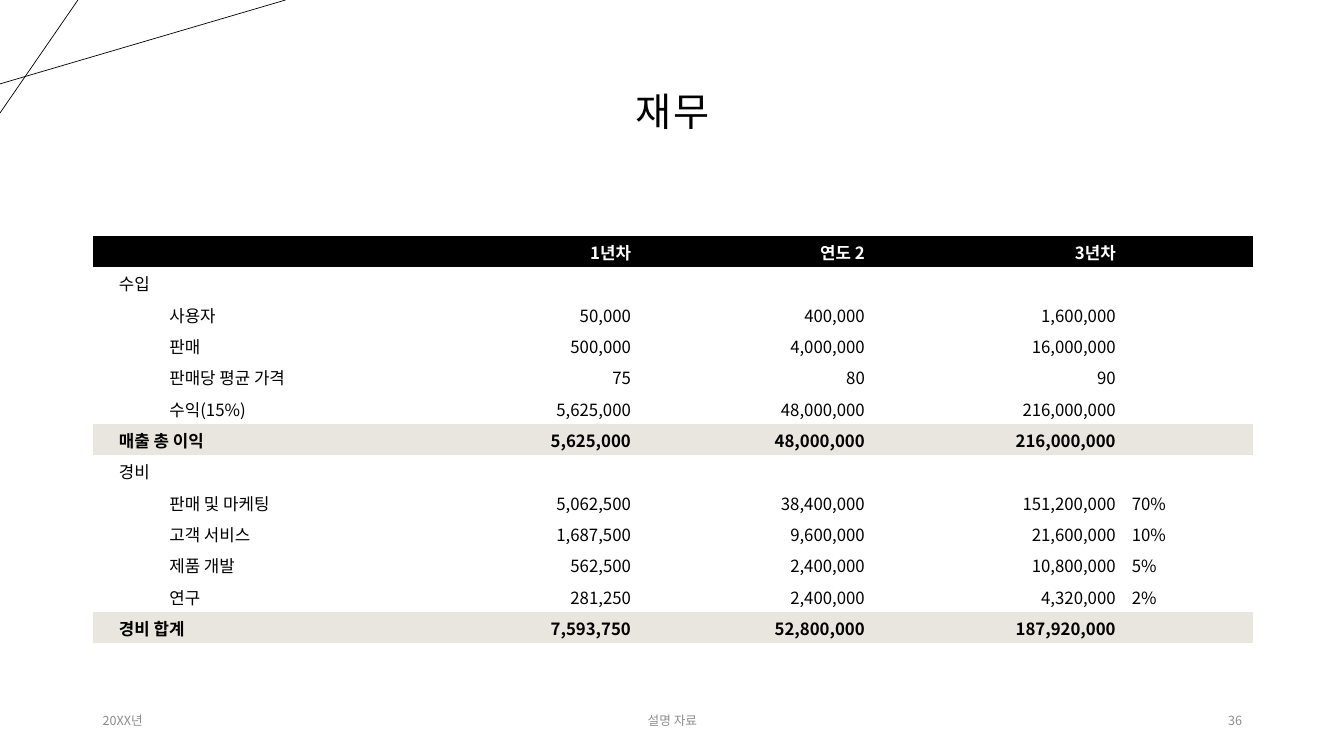
from lxml.etree import SubElement
from pptx import Presentation
from pptx.dml.color import RGBColor
from pptx.enum.shapes import MSO_CONNECTOR
from pptx.enum.text import MSO_ANCHOR, PP_ALIGN
from pptx.oxml.ns import qn
from pptx.util import Inches, Pt

BLACK, WHITE, SAND, GRAY = "000000", "FFFFFF", "E9E6DF", "8C8C8C"
LEFT, CENTER, RIGHT = PP_ALIGN.LEFT, PP_ALIGN.CENTER, PP_ALIGN.RIGHT
PLAIN_TABLE = "{2D5ABB26-0587-4C30-8999-92F81FD0307C}"
COLUMN_SHARES = (26.55, 14.1, 17.4, 18.67, 9.6)
ROW_SHARE = 4.15
FINANCES = [
    ("header", "", "1년차", "연도 2", "3년차", ""),
    ("group", "수입", "", "", "", ""),
    ("item", "사용자", "50,000", "400,000", "1,600,000", ""),
    ("item", "판매", "500,000", "4,000,000", "16,000,000", ""),
    ("item", "판매당 평균 가격", "75", "80", "90", ""),
    ("item", "수익(15%)", "5,625,000", "48,000,000", "216,000,000", ""),
    ("total", "매출 총 이익", "5,625,000", "48,000,000", "216,000,000", ""),
    ("group", "경비", "", "", "", ""),
    ("item", "판매 및 마케팅", "5,062,500", "38,400,000", "151,200,000", "70%"),
    ("item", "고객 서비스", "1,687,500", "9,600,000", "21,600,000", "10%"),
    ("item", "제품 개발", "562,500", "2,400,000", "10,800,000", "5%"),
    ("item", "연구", "281,250", "2,400,000", "4,320,000", "2%"),
    ("total", "경비 합계", "7,593,750", "52,800,000", "187,920,000", ""),
]
ROW_FILLS = {"header": BLACK, "total": SAND}


def color(code):
    return RGBColor.from_string(code)


class FinanceSlide:
    """Draws styled elements, with lengths in percent of the slide's size."""

    font_name = "Noto Sans CJK KR"

    def __init__(self, deck):
        self.deck = deck
        self.slide = deck.slides.add_slide(deck.slide_layouts[6])

    def x(self, share):
        return round(self.deck.slide_width * share / 100)

    def y(self, share):
        return round(self.deck.slide_height * share / 100)

    def style(self, paragraph, words, size, ink, align, bold=False, spacing=0):
        paragraph.text = words
        paragraph.alignment = align
        font = paragraph.font
        font.size, font.bold, font.name = Pt(size), bold, self.font_name
        font.color.rgb = color(ink)
        properties = paragraph._p.pPr.find(qn("a:defRPr"))
        SubElement(properties, qn("a:ea")).set("typeface", self.font_name)
        if spacing:
            properties.set("spc", str(round(spacing * 100)))

    def line(self, start, end):
        stroke = self.slide.shapes.add_connector(
            MSO_CONNECTOR.STRAIGHT, self.x(start[0]), self.y(start[1]),
            self.x(end[0]), self.y(end[1]))
        stroke.line.color.rgb = color(BLACK)
        stroke.line.width = Pt(0.5)
        SubElement(stroke._element.spPr, qn("a:effectLst"))

    def text(self, words, left, top, width, height, size, ink, align, spacing=0):
        frame = self.slide.shapes.add_textbox(
            self.x(left), self.y(top), self.x(width), self.y(height)).text_frame
        frame.word_wrap = True
        frame.vertical_anchor = MSO_ANCHOR.MIDDLE
        self.style(frame.paragraphs[0], words, size, ink, align, spacing=spacing)
        return frame.paragraphs[0]

    def table(self, rows, left, top):
        grid = self.slide.shapes.add_table(
            len(rows), len(COLUMN_SHARES), self.x(left), self.y(top),
            self.x(sum(COLUMN_SHARES)), self.y(ROW_SHARE * len(rows))).table
        grid.first_row = grid.horz_banding = False
        grid._tbl.tblPr.find(qn("a:tableStyleId")).text = PLAIN_TABLE
        for column, share in zip(grid.columns, COLUMN_SHARES):
            column.width = self.x(share)
        for row, (role, *entries) in zip(grid.rows, rows):
            row.height = self.y(ROW_SHARE)
            for index, (cell, words) in enumerate(zip(row.cells, entries)):
                self.cell(cell, words, role, index)

    def cell(self, cell, words, role, index):
        cell.vertical_anchor = MSO_ANCHOR.MIDDLE
        cell.margin_left = Inches(0.08 if index else 0.26)
        cell.margin_right = Inches(0.08)
        cell.margin_top = cell.margin_bottom = Inches(0.04)
        if role in ROW_FILLS:
            cell.fill.solid()
            cell.fill.fore_color.rgb = color(ROW_FILLS[role])
        else:
            cell.fill.background()
        paragraph = cell.text_frame.paragraphs[0]
        self.style(paragraph, words, 12, WHITE if role == "header" else BLACK,
                   RIGHT if index in (1, 2, 3) else LEFT, role in ROW_FILLS)
        if not words:
            SubElement(paragraph._p, qn("a:endParaRPr")).set("sz", "1200")
        if role == "item" and index == 0:
            paragraph.level = 1
            paragraph._p.pPr.set("marL", str(Inches(0.5)))
            paragraph._p.pPr.set("indent", "0")


def main():
    deck = Presentation()
    deck.slide_width, deck.slide_height = Inches(13.33), Inches(7.5)
    page = FinanceSlide(deck)
    page.line((0, 11.1), (21.25, 0))
    page.line((5.8, 0), (0, 14.95))
    title = page.text("재무", 6.9, 5.33, 86.25, 19.33, 28, BLACK, CENTER, 1.5)
    title.line_spacing = 0.9
    page.table(FINANCES, 6.9, 31.2)
    for words, left, width, align in (("20XX년", 6.9, 22.5, LEFT),
                                      ("설명 자료", 33.15, 33.75, CENTER),
                                      ("36", 70.65, 22.5, RIGHT)):
        page.text(words, left, 92.67, width, 5.33, 9, GRAY, align)
    deck.save("out.pptx")


if __name__ == "__main__":
    main()
